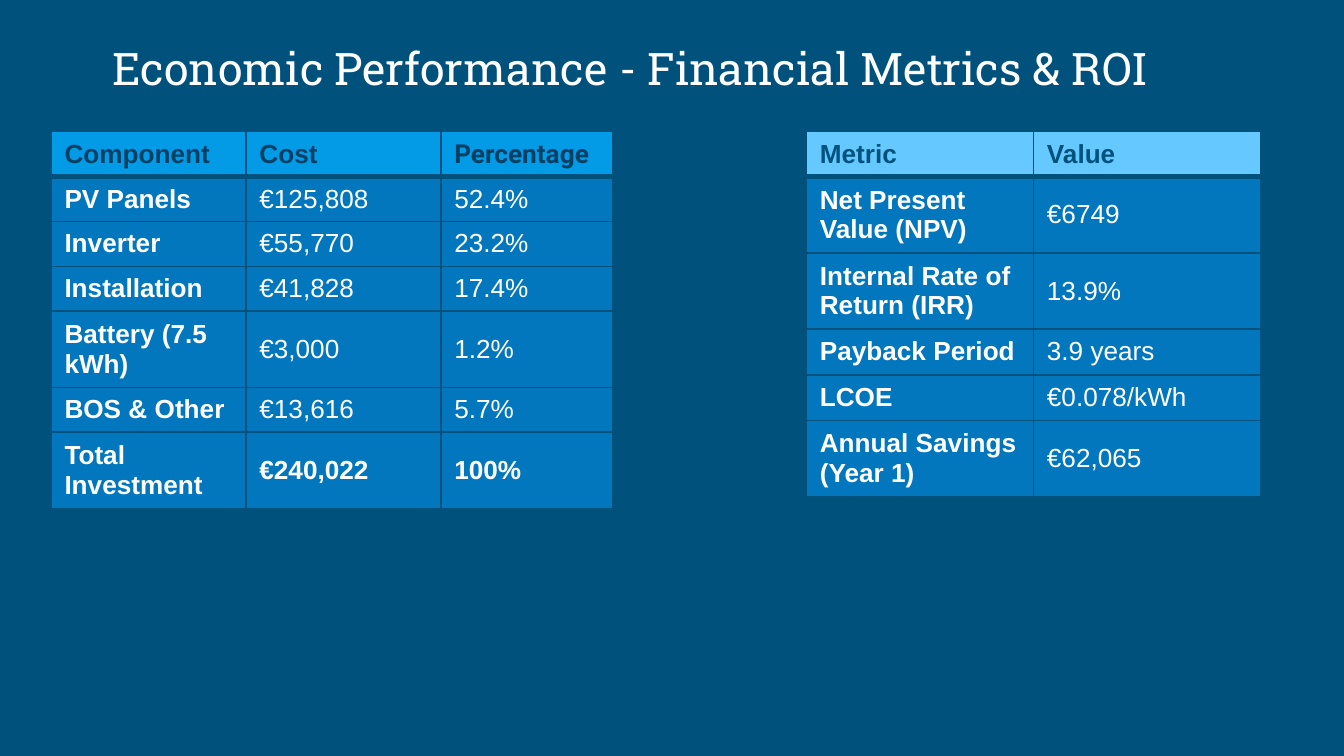
from dataclasses import dataclass

from lxml.etree import SubElement
from pptx import Presentation
from pptx.dml.color import RGBColor as Color
from pptx.enum.text import MSO_VERTICAL_ANCHOR as Anchor
from pptx.oxml.ns import qn
from pptx.slide import Slide
from pptx.table import _Cell as Cell
from pptx.util import Emu, Pt

PX_PER_INCH = 200


@dataclass(frozen=True)
class Theme:
    background: str = "00517C"
    body_fill: str = "0277BD"
    text: str = "FFFFFF"
    title_font: str = "Roboto Slab"
    body_font: str = "Arial"
    title_size: int = 24
    body_size: int = 14
    grid_width: int = 1
    header_rule: int = 3


@dataclass(frozen=True)
class TableSpec:
    left: int
    top: int
    columns: tuple[int, ...]
    row_heights: tuple[int, ...]
    header_fill: str
    header_text: str
    rows: tuple[tuple[str, ...], ...]
    has_total: bool = False
    last_header_font: str = "Arial"


THEME = Theme()

COSTS = TableSpec(
    left=76, top=196, columns=(290, 290, 256),
    row_heights=(52, *[58] * 6),
    header_fill="039BE5", header_text="004065",
    rows=(
        ("Component", "Cost", "Percentage"),
        ("PV Panels", "€125,808", "52.4%"),
        ("Inverter", "€55,770", "23.2%"),
        ("Installation", "€41,828", "17.4%"),
        ("Battery (7.5 kWh)", "€3,000", "1.2%"),
        ("BOS & Other", "€13,616", "5.7%"),
        ("Total Investment", "€240,022", "100%"),
    ),
    has_total=True, last_header_font="Roboto",
)

METRICS = TableSpec(
    left=1200, top=196, columns=(338, 338),
    row_heights=(62, 94, 94, 68, 68, 94),
    header_fill="65C9FF", header_text="00517C",
    rows=(
        ("Metric", "Value"),
        ("Net Present Value (NPV)", "€6749"),
        ("Internal Rate of Return (IRR)", "13.9%"),
        ("Payback Period", "3.9 years"),
        ("LCOE", "€0.078/kWh"),
        ("Annual Savings (Year 1)", "€62,065"),
    ),
)


def px(length: int) -> Emu:
    return Emu(length * 914400 // PX_PER_INCH)


def draw_title(page: Slide, text: str) -> None:
    box = page.shapes.add_textbox(px(148), px(30), px(1830), px(150))
    frame = box.text_frame
    frame.text = text
    frame.word_wrap = True
    frame.vertical_anchor = Anchor.MIDDLE
    frame.margin_left = frame.margin_right = px(20)
    frame.margin_top = frame.margin_bottom = px(20)
    para = frame.paragraphs[0]
    para.line_spacing = 0.9
    para.font.name = THEME.title_font
    para.font.size = Pt(THEME.title_size)
    para.font.color.rgb = Color.from_string(THEME.text)


def set_borders(cell: Cell, top: int, bottom: int) -> None:
    properties = cell._tc.get_or_add_tcPr()
    side = THEME.grid_width
    for tag, width in (("lnL", side), ("lnR", side), ("lnT", top), ("lnB", bottom)):
        line = SubElement(properties, qn(f"a:{tag}"), w=str(Pt(width)))
        fill = SubElement(line, qn("a:solidFill"))
        SubElement(fill, qn("a:srgbClr"), val=THEME.background)


def format_cell(cell: Cell, text: str, fill: str, color: str, font: str, bold: bool) -> None:
    cell.text = text
    cell.vertical_anchor = Anchor.MIDDLE
    cell.fill.solid()
    cell.fill.fore_color.rgb = Color.from_string(fill)
    span = cell.text_frame.paragraphs[0].runs[0]
    span.font.name = font
    span.font.size = Pt(THEME.body_size)
    span.font.bold = bold
    span.font.color.rgb = Color.from_string(color)


def draw_table(page: Slide, spec: TableSpec) -> None:
    frame = page.shapes.add_table(
        len(spec.rows), len(spec.columns), px(spec.left), px(spec.top),
        px(sum(spec.columns)), px(sum(spec.row_heights)),
    )
    table = frame.table
    table.first_row = False
    table.horz_banding = False
    for column, width in zip(table.columns, spec.columns):
        column.width = px(width)
    for row, height in zip(table.rows, spec.row_heights):
        row.height = px(height)

    last_row, last_column = len(spec.rows) - 1, len(spec.columns) - 1
    for r, values in enumerate(spec.rows):
        header = r == 0
        total = spec.has_total and r == last_row
        for c, text in enumerate(values):
            cell = table.cell(r, c)
            set_borders(
                cell,
                top=THEME.header_rule if r == 1 else THEME.grid_width,
                bottom=THEME.header_rule if header else THEME.grid_width,
            )
            format_cell(
                cell, text,
                fill=spec.header_fill if header else THEME.body_fill,
                color=spec.header_text if header else THEME.text,
                font=spec.last_header_font if header and c == last_column else THEME.body_font,
                bold=header or total or c == 0,
            )


def main() -> None:
    deck = Presentation()
    deck.slide_width, deck.slide_height = px(2000), px(1125)
    page = deck.slides.add_slide(deck.slide_layouts[6])
    page.background.fill.solid()
    page.background.fill.fore_color.rgb = Color.from_string(THEME.background)
    draw_title(page, "Economic Performance - Financial Metrics & ROI")
    for spec in (COSTS, METRICS):
        draw_table(page, spec)
    deck.save("out.pptx")


if __name__ == "__main__":
    main()
